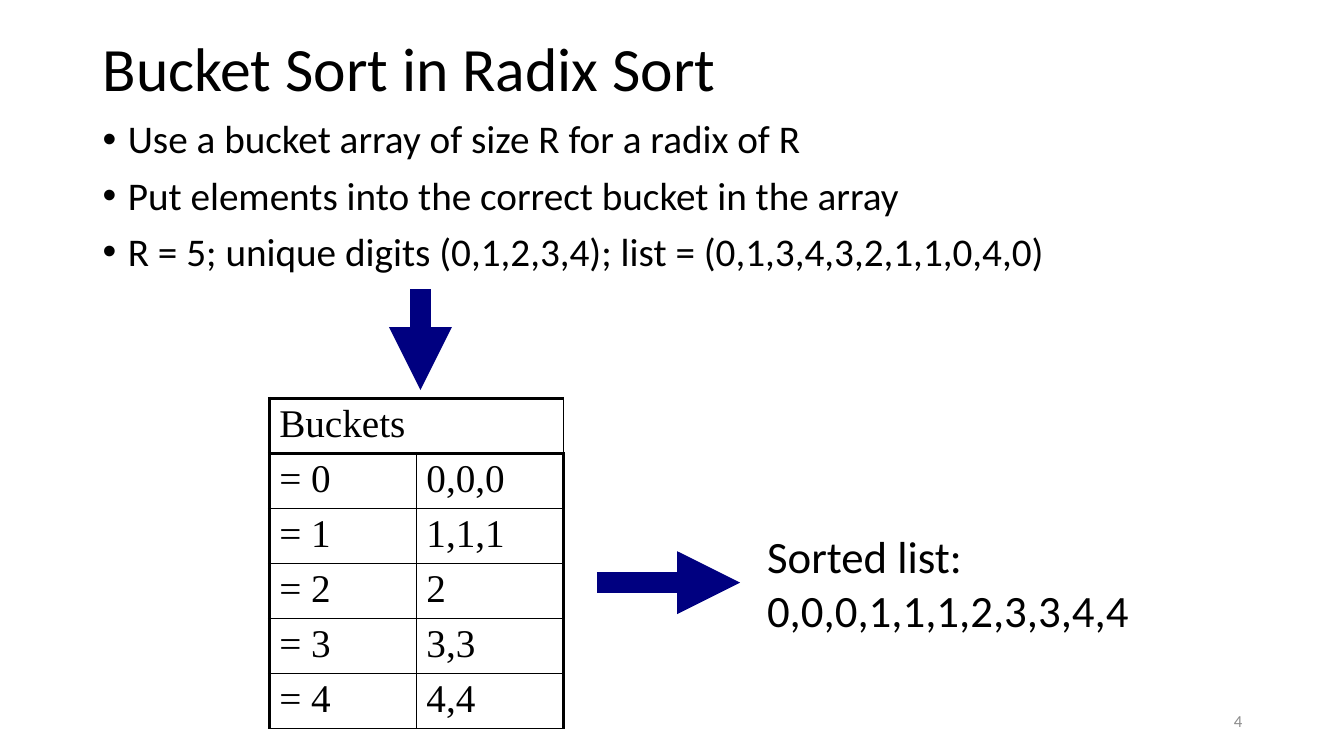
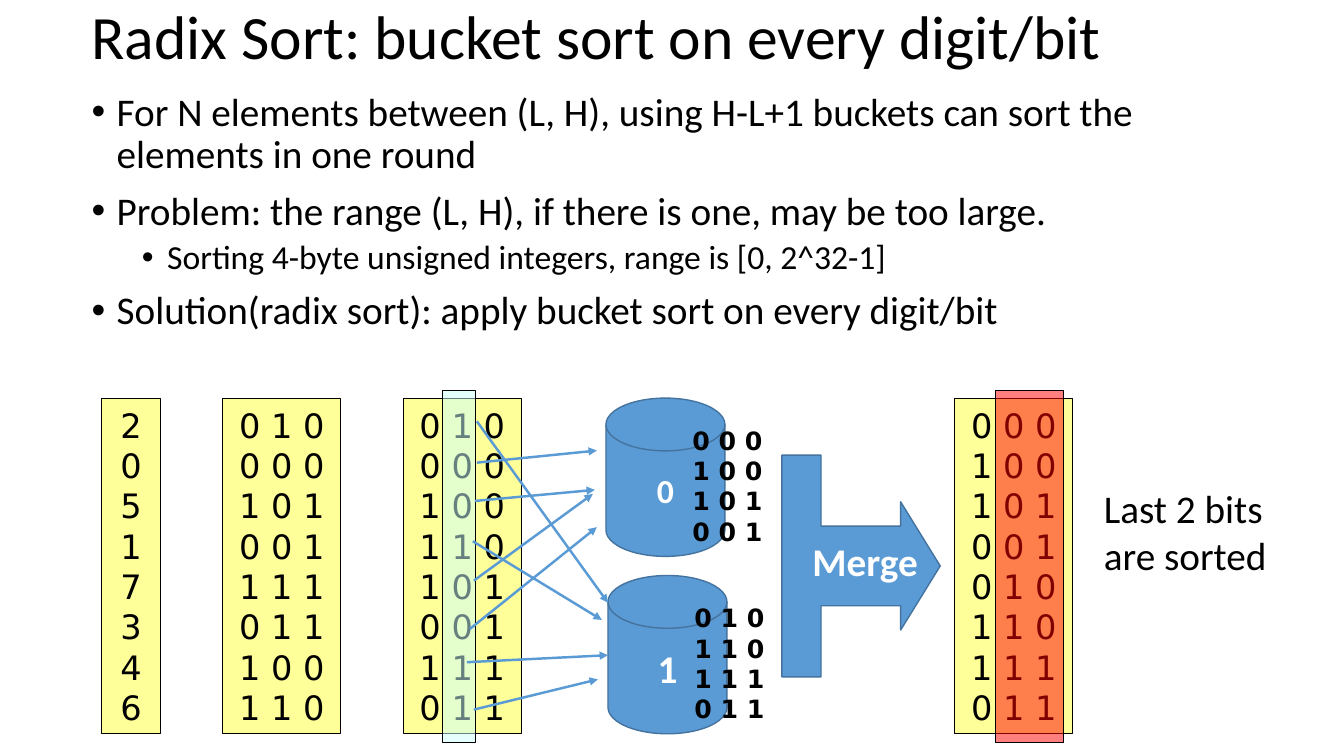
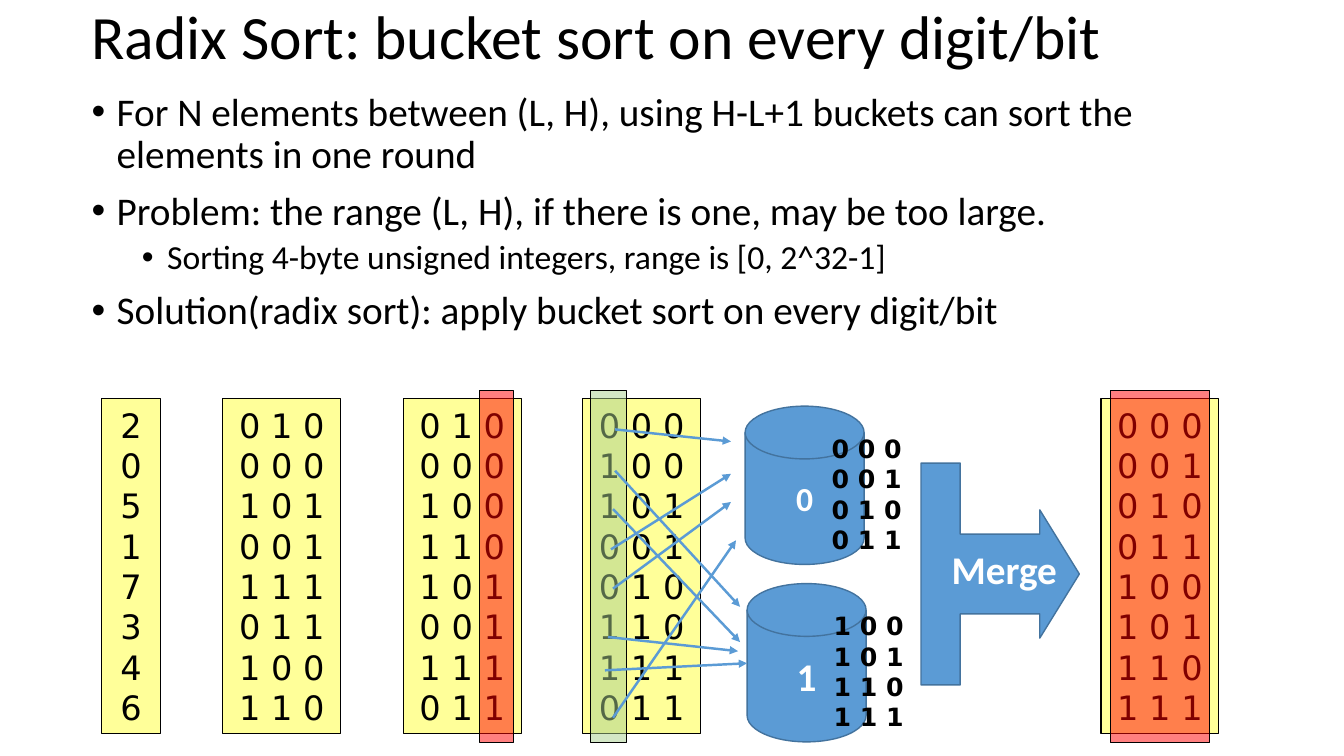
from dataclasses import dataclass
from typing import Optional

from lxml.etree import SubElement
from pptx import Presentation
from pptx.dml.color import RGBColor
from pptx.enum.shapes import MSO_CONNECTOR, MSO_SHAPE
from pptx.enum.text import MSO_ANCHOR, PP_ALIGN
from pptx.oxml.ns import qn
from pptx.shapes.autoshape import Shape
from pptx.slide import Slide
from pptx.table import _Cell as Cell
from pptx.text.text import TextFrame
from pptx.util import Inches, Pt

COLORS = {
    "text": "000000",
    "number": "8C8C8C",
    "white": "FFFFFF",
    "navy": "000080",
    "blue": "5B9BD5",
    "blue_edge": "43739E",
    "column": "FFFF99",
    "cyan": "CCFFFF",
    "red": "FF0000",
    "green": "A9D18E",
}
BODY_FONT = "Calibri"
DIGIT_FONT = "DejaVu Sans"
TABLE_FONT = "Times New Roman"

RADIX_TITLE = "Radix Sort: bucket sort on every digit/bit"
RADIX_POINTS = [
    (0, "For N elements between (L, H), using H-L+1 buckets can sort the elements in one round"),
    (0, "Problem: the range (L, H), if there is one, may be too large."),
    (1, "Sorting 4-byte unsigned integers, range is [0, 2^32-1]"),
    (0, "Solution(radix sort): apply bucket sort on every digit/bit"),
]
NUMBERS = [2, 0, 5, 1, 7, 3, 4, 6]
COLUMN_TOP, COLUMN_HEIGHT = 3.95, 3.33
BAND_TOP, BAND_HEIGHT = 3.87, 3.5

Box = tuple[float, float, float, float]
Point = tuple[float, float]


@dataclass(frozen=True)
class TextStyle:
    size: float
    color: str = "text"
    font: str = BODY_FONT
    bold: bool = False
    align: PP_ALIGN = PP_ALIGN.LEFT


@dataclass(frozen=True)
class Band:
    left: float
    width: float
    color: str


@dataclass(frozen=True)
class Column:
    left: float
    rows: list[str]
    band: Optional[Band] = None
    width: float = 1.17


@dataclass(frozen=True)
class Arrow:
    start: Point
    end: Point
    color: str = "blue"
    weight: float = 1.75


TITLE = TextStyle(44)
PLAIN = TextStyle(28)
DIGITS = TextStyle(24, font=DIGIT_FONT, align=PP_ALIGN.CENTER)
BUCKET_DIGITS = TextStyle(18, font=DIGIT_FONT, bold=True, align=PP_ALIGN.CENTER)


def rgb(name: str) -> RGBColor:
    return RGBColor.from_string(COLORS[name])


def inches(box: Box) -> list[Inches]:
    return [Inches(length) for length in box]


# Text
def write(frame: TextFrame, text: str, style: TextStyle) -> None:
    frame.text = text
    for paragraph in frame.paragraphs:
        paragraph.alignment = style.align
        for run in paragraph.runs:
            run.font.size = Pt(style.size)
            run.font.name = style.font
            run.font.bold = style.bold
            run.font.color.rgb = rgb(style.color)


def add_text(slide: Slide, box: Box, text: str, style: TextStyle,
             anchor: MSO_ANCHOR = MSO_ANCHOR.TOP, wrap: bool = True) -> TextFrame:
    frame = slide.shapes.add_textbox(*inches(box)).text_frame
    frame.word_wrap = wrap
    frame.vertical_anchor = anchor
    write(frame, text, style)
    return frame


def add_title(slide: Slide, box: Box, text: str) -> None:
    frame = add_text(slide, box, text, TITLE, MSO_ANCHOR.MIDDLE)
    frame.paragraphs[0].line_spacing = 0.9


def add_points(slide: Slide, box: Box, points: list[tuple[int, str]]) -> None:
    frame = add_text(slide, box, "\n".join(text for _, text in points), PLAIN)
    for index, (paragraph, (level, _)) in enumerate(zip(frame.paragraphs, points)):
        paragraph.level = level
        paragraph.line_spacing = 0.9
        if index:
            paragraph.space_before = Pt(5 if level else 10)
        if level:
            paragraph.runs[0].font.size = Pt(24)
        props = paragraph._p.get_or_add_pPr()
        props.set("marL", str(Inches(0.25 + 0.5 * level)))
        props.set("indent", str(-Inches(0.25)))
        SubElement(props, qn("a:buFont"), typeface="Arial")
        SubElement(props, qn("a:buChar"), char="•")


# Shapes and arrows
def add_block(slide: Slide, kind: MSO_SHAPE, box: Box, fill: str, edge: str,
              weight: float, alpha: int = 100) -> Shape:
    block = slide.shapes.add_shape(kind, *inches(box))
    block.shadow.inherit = False
    block.fill.solid()
    block.fill.fore_color.rgb = rgb(fill)
    if alpha < 100:
        tint = block.element.spPr.find(".//" + qn("a:srgbClr"))
        SubElement(tint, qn("a:alpha"), val=str(alpha * 1000))
    block.line.color.rgb = rgb(edge)
    block.line.width = Pt(weight)
    block.text_frame.vertical_anchor = MSO_ANCHOR.MIDDLE
    return block


def add_arrow(slide: Slide, arrow: Arrow) -> None:
    connector = slide.shapes.add_connector(
        MSO_CONNECTOR.STRAIGHT, *inches(arrow.start + arrow.end))
    connector.line.color.rgb = rgb(arrow.color)
    connector.line.width = Pt(arrow.weight)
    props = connector.element.spPr
    SubElement(props.find(qn("a:ln")), qn("a:tailEnd"), type="triangle")
    SubElement(props, qn("a:effectLst"))


# Bucket table
def set_borders(cell: Cell, widths: dict[str, float]) -> None:
    props = cell._tc.get_or_add_tcPr()
    for side in "LRTB":
        line = SubElement(props, qn(f"a:ln{side}"), w=str(Pt(widths[side])))
        SubElement(SubElement(line, qn("a:solidFill")), qn("a:srgbClr"), val=COLORS["text"])


def add_bucket_table(slide: Slide, box: Box, rows: list[tuple[str, str]]) -> None:
    table = slide.shapes.add_table(len(rows), 2, *inches(box)).table
    table.first_row = table.horz_banding = False
    thick, thin = 2.25, 1
    for r, row in enumerate(rows):
        for c, text in enumerate(row):
            cell = table.cell(r, c)
            cell.margin_top = cell.margin_bottom = Inches(0.04)
            write(cell.text_frame, text, TextStyle(28, font=TABLE_FONT))
            set_borders(cell, {
                "L": thin if c else thick,
                "R": thick if c else thin,
                "T": thick if r < 2 else thin,
                "B": thin if r else thick,
            })
            cell.fill.background()
    table.cell(0, 0).merge(table.cell(0, 1))


# Radix sort rounds
def bits(numbers: list[int]) -> list[str]:
    return [" ".join(f"{number:03b}") for number in numbers]


def sort_by_bit(numbers: list[int], bit: int) -> list[int]:
    return sorted(numbers, key=lambda number: number >> bit & 1)


def add_column(slide: Slide, column: Column) -> None:
    block = add_block(slide, MSO_SHAPE.FLOWCHART_PROCESS,
                      (column.left, COLUMN_TOP, column.width, COLUMN_HEIGHT),
                      "column", "text", 0.75)
    block.text_frame.word_wrap = False
    write(block.text_frame, "\n".join(column.rows), DIGITS)
    if column.band:
        add_block(slide, MSO_SHAPE.RECTANGLE,
                  (column.band.left, BAND_TOP, column.band.width, BAND_HEIGHT),
                  column.band.color, "text", 0.75, alpha=50)


def add_buckets(slide: Slide, left: float, top: float, ordered: list[int]) -> None:
    """Draws both buckets with their contents and the merge arrow."""
    half = len(ordered) // 2
    for digit, size in enumerate((24, 28)):
        x, y = left + 0.02 * digit, top + 1.76 * digit
        disk = add_block(slide, MSO_SHAPE.FLOWCHART_MAGNETIC_DISK,
                         (x, y, 1.18, 1.57), "blue", "blue_edge", 1)
        write(disk.text_frame, str(digit),
              TextStyle(size, "white", bold=True, align=PP_ALIGN.CENTER))
        contents = ordered[digit * half:(digit + 1) * half]
        add_text(slide, (x + 0.63, y + 0.22, 1.15, 1.31),
                 "\n".join(bits(contents)), BUCKET_DIGITS)
    merge = add_block(slide, MSO_SHAPE.UP_ARROW_CALLOUT,
                      (left + 1.43, top + 0.88, 2.2, 1.57), "blue", "blue_edge", 1)
    merge.rotation = 90
    for index, value in enumerate((0.504, 0.405, 0.25, 0.247)):
        merge.adjustments[index] = value
    add_text(slide, (left + 1.95, top + 1.33, 1.28, 0.57), "Merge",
             TextStyle(28, "white", bold=True))


def add_round(slide: Slide, columns: list[Column], buckets_at: Point,
              ordered: list[int], arrows: list[Arrow]) -> None:
    add_title(slide, (0.81, 0, 11.5, 0.79), RADIX_TITLE)
    add_points(slide, (0.81, 0.87, 11.8, 3), RADIX_POINTS)
    inputs = [Column(1.01, [str(number) for number in NUMBERS], width=0.58),
              Column(2.21, bits(NUMBERS))]
    for column in inputs + columns:
        add_column(slide, column)
    add_buckets(slide, *buckets_at, ordered)
    for arrow in arrows:
        add_arrow(slide, arrow)


def build_bucket_slide(slide: Slide) -> None:
    add_text(slide, (9.42, 6.95, 3, 0.4), "4",
             TextStyle(12, "number", align=PP_ALIGN.RIGHT), MSO_ANCHOR.MIDDLE)
    add_title(slide, (0.92, 0.13, 11.5, 1.15), "Bucket Sort in Radix Sort")
    add_points(slide, (0.92, 1.14, 11.5, 1.86), [
        (0, "Use a bucket array of size R for a radix of R"),
        (0, "Put elements into the correct bucket in the array"),
        (0, "R = 5; unique digits (0,1,2,3,4); list = (0,1,3,4,3,2,1,1,0,4,0)"),
    ])
    add_bucket_table(slide, (2.67, 3.95, 2.92, 3.18), [
        ("Buckets", ""), ("= 0", "0,0,0"), ("= 1", "1,1,1"),
        ("= 2", "2"), ("= 3", "3,3"), ("= 4", "4,4"),
    ])
    add_text(slide, (7.51, 5.2, 3.83, 1.18), "Sorted list:\n0,0,0,1,1,1,2,3,3,4,4",
             TextStyle(32), wrap=False)
    add_arrow(slide, Arrow((4.17, 2.87), (4.17, 3.87), "navy", 15))
    add_arrow(slide, Arrow((5.92, 5.78), (7.34, 5.78), "navy", 15))


def main() -> None:
    deck = Presentation()
    deck.slide_width, deck.slide_height = Inches(13.33), Inches(7.5)
    blank = deck.slide_layouts[6]
    build_bucket_slide(deck.slides.add_slide(blank))

    by_last = sort_by_bit(NUMBERS, 0)
    by_middle = sort_by_bit(by_last, 1)
    by_first = sort_by_bit(by_middle, 2)

    # Second round: middle bit
    middle_round = deck.slides.add_slide(blank)
    add_round(
        middle_round,
        [Column(4, bits(by_last), Band(4.39, 0.33, "cyan")),
         Column(9.47, bits(by_middle), Band(9.87, 0.68, "red"))],
        (6.01, 3.95), by_middle,
        [Arrow((4.73, 4.18), (6.03, 5.98)), Arrow((4.73, 4.59), (5.92, 4.47)),
         Arrow((4.71, 4.97), (5.9, 4.86)), Arrow((4.69, 5.37), (5.97, 6.15)),
         Arrow((4.7, 5.76), (5.88, 4.9)), Arrow((4.66, 6.24), (5.92, 5.23)),
         Arrow((4.63, 6.57), (6.03, 6.5)), Arrow((4.7, 7.04), (5.93, 6.74))])
    add_text(middle_round, (10.85, 4.76, 2.09, 1.04), "Last 2 bits are sorted", PLAIN)

    # Third round: first bit
    add_round(
        deck.slides.add_slide(blank),
        [Column(4, bits(by_last), Band(4.76, 0.33, "red")),
         Column(5.78, bits(by_middle), Band(5.86, 0.35, "green")),
         Column(10.92, bits(by_first), Band(11.01, 0.99, "red"))],
        (7.39, 4.03), by_first,
        [Arrow((6.1, 4.26), (7.25, 4.38)), Arrow((6.1, 4.67), (7.34, 6.02)),
         Arrow((6.08, 5.05), (7.34, 6.37)), Arrow((6.06, 5.45), (7.25, 4.7)),
         Arrow((6.08, 5.84), (7.25, 4.98)), Arrow((6.03, 6.32), (7.32, 6.46)),
         Arrow((6, 6.65), (7.41, 6.58)), Arrow((6.08, 7.12), (7.3, 5.36))])

    deck.save("out.pptx")


if __name__ == "__main__":
    main()
